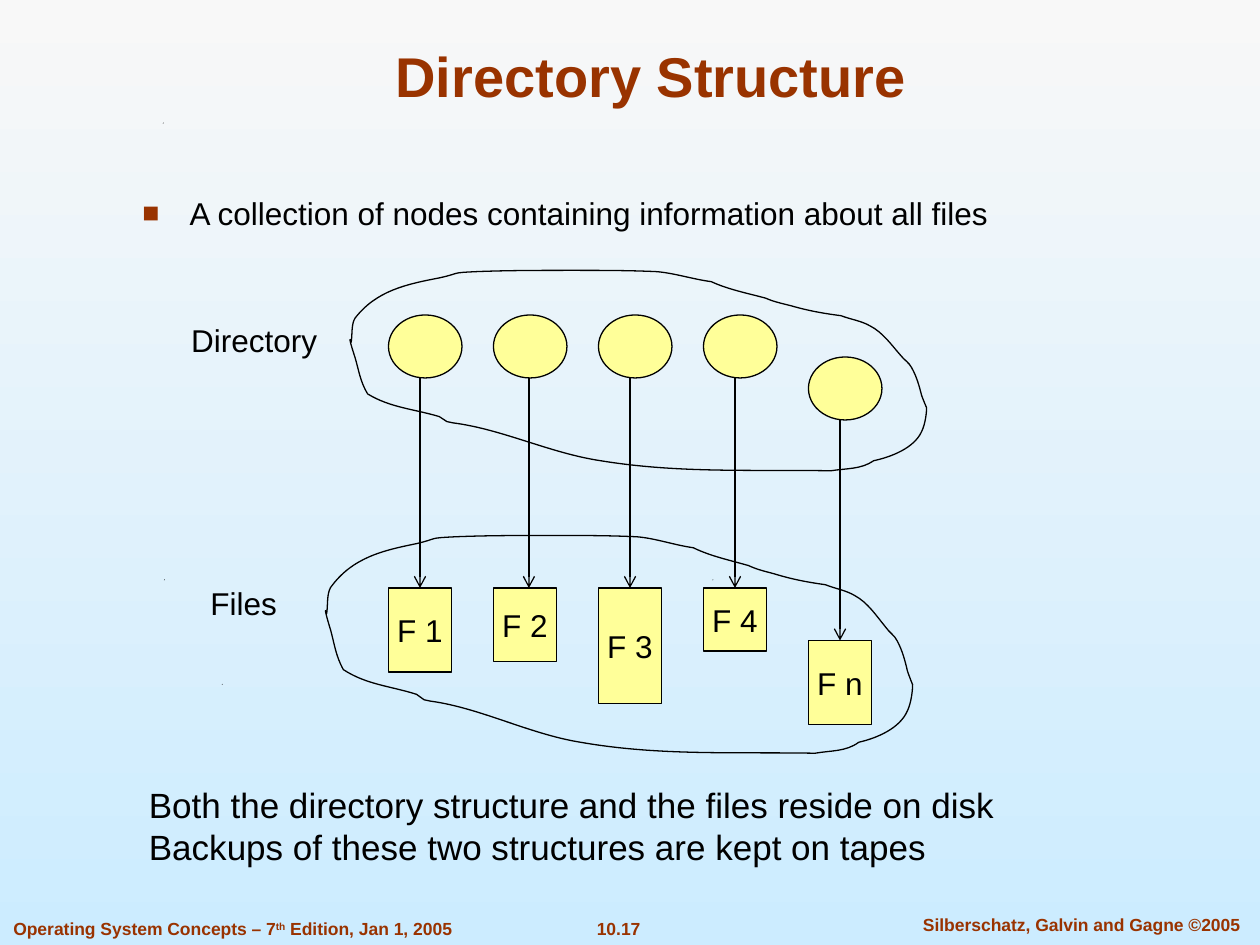
from lxml.etree import SubElement
from pptx import Presentation
from pptx.dml.color import RGBColor
from pptx.enum.shapes import MSO_CONNECTOR, MSO_SHAPE
from pptx.enum.text import MSO_ANCHOR, PP_ALIGN
from pptx.oxml.ns import qn
from pptx.util import Pt

COLORS = {
    "sky_top": "F8F8F8",
    "sky_bottom": "CCECFF",
    "accent": "993300",
    "node": "FFFF99",
    "ink": "000000",
}
FONT = "Arial"
LINE_WIDTH = 0.75

# Node columns
COLUMN_LEFT, COLUMN_STEP = 222, 60
NODE_WIDTH, NODE_HEIGHT, FILE_WIDTH = 42, 36, 36
# Label, top of directory node, top of file, height of file, arrow offset
COLUMNS = [
    ("F 1", 180, 336, 48, 18),
    ("F 2", 180, 336, 42, 20.25),
    ("F 3", 180, 336, 66, 18),
    ("F 4", 180, 336, 36, 18),
    ("F n", 204, 366, 48, 18),
]

# Tiny background specks
SPECK_SIZE = 0.5
SPECKS = [(126.75, 390.75), (93.75, 331), (407, 331), (93, 70)]

# Hand-drawn outline: a start point, then cubic curves (two controls, one end)
OUTLINE_WIDTH, OUTLINE_HEIGHT = 458, 161
OUTLINE_START = (1, 57)
OUTLINE_CURVES = [
    (2, 50, 1, 43, 4, 38), (21, 16, 45, 11, 71, 6), (89, 2, 79, 2, 101, 1),
    (126, 0, 151, 0, 177, 0), (199, 0, 221, 0, 243, 1), (257, 2, 272, 7, 287, 9),
    (300, 15, 315, 18, 330, 22), (337, 25, 342, 26, 350, 28), (364, 32, 375, 34, 390, 36),
    (398, 39, 406, 40, 413, 44), (423, 49, 430, 59, 437, 67), (440, 71, 444, 73, 446, 77),
    (450, 84, 452, 91, 454, 99), (455, 102, 458, 109, 458, 109), (458, 113, 457, 122, 454, 128),
    (448, 141, 430, 148, 416, 151), (406, 158, 394, 157, 382, 159), (318, 158, 260, 161, 199, 151),
    (159, 145, 121, 126, 82, 121), (80, 121, 79, 120, 77, 120), (75, 119, 73, 117, 71, 116),
    (51, 110, 32, 109, 14, 98), (8, 88, 7, 79, 4, 69), (4, 69, 0, 57, 0, 55),
    (0, 54, 1, 56, 1, 57),
]


def color(name):
    return RGBColor.from_string(COLORS[name])


def paint_background(slide):
    fill = slide.background.fill
    fill.gradient()
    fill.gradient_angle = 270
    for stop, name, position in zip(fill.gradient_stops, ("sky_top", "sky_bottom"), (0, 1)):
        stop.color.rgb = color(name)
        stop.position = position


def add_run(paragraph, text, size=18, ink="ink", bold=False, superscript=False):
    run = paragraph.add_run()
    run.text = text
    run.font.name = FONT
    run.font.size = Pt(size)
    run.font.bold = bold
    run.font.color.rgb = color(ink)
    if superscript:
        run.font._element.set("baseline", "30000")


def add_text(slide, text, left, top, width, height, align=PP_ALIGN.LEFT,
             anchor=MSO_ANCHOR.TOP, wrap=True, **run_format):
    """Place a text box; each line of the text becomes a paragraph."""
    box = slide.shapes.add_textbox(Pt(left), Pt(top), Pt(width), Pt(height))
    frame = box.text_frame
    frame.word_wrap = wrap
    frame.vertical_anchor = anchor
    for index, line in enumerate(text.split("\n")):
        paragraph = frame.add_paragraph() if index else frame.paragraphs[0]
        paragraph.alignment = align
        add_run(paragraph, line, **run_format)
    return frame.paragraphs[0]


def add_bullet(paragraph, character, indent):
    paragraph.line_spacing = 0.9
    properties = paragraph._p.get_or_add_pPr()
    properties.set("marL", str(Pt(indent)))
    properties.set("indent", str(-Pt(indent)))
    bullet_color = SubElement(properties, qn("a:buClr"))
    SubElement(bullet_color, qn("a:srgbClr"), val=COLORS["accent"])
    SubElement(properties, qn("a:buSzPct"), val="90000")
    SubElement(properties, qn("a:buFont"), typeface=FONT)
    SubElement(properties, qn("a:buChar"), char=character)


def outline_in_ink(shape):
    shape.shadow.inherit = False
    shape.line.color.rgb = color("ink")
    shape.line.width = Pt(LINE_WIDTH)


def add_node(slide, kind, left, top, width, height, label=None):
    shape = slide.shapes.add_shape(kind, Pt(left), Pt(top), Pt(width), Pt(height))
    shape.fill.solid()
    shape.fill.fore_color.rgb = color("node")
    outline_in_ink(shape)
    if label:
        frame = shape.text_frame
        frame.word_wrap = False
        frame.vertical_anchor = MSO_ANCHOR.MIDDLE
        frame.paragraphs[0].alignment = PP_ALIGN.CENTER
        add_run(frame.paragraphs[0], label)


def add_arrow(slide, x, top, bottom):
    arrow = slide.shapes.add_connector(MSO_CONNECTOR.STRAIGHT, Pt(x), Pt(top), Pt(x), Pt(bottom))
    arrow.line.color.rgb = color("ink")
    arrow.line.width = Pt(LINE_WIDTH)
    SubElement(arrow.line._get_or_add_ln(), qn("a:tailEnd"), type="arrow")
    SubElement(arrow._element.spPr, qn("a:effectLst"))


def add_outline(slide, points):
    start, *others = [(Pt(x), Pt(y)) for x, y in points]
    builder = slide.shapes.build_freeform(*start)
    builder.add_line_segments(others, close=True)
    shape = builder.convert_to_shape()
    shape.shadow.inherit = False
    return shape


def add_speck(slide, left, top):
    shape = add_outline(slide, [(left, top + SPECK_SIZE), (left + SPECK_SIZE, top),
                                (left + SPECK_SIZE, top + SPECK_SIZE)])
    shape.fill.solid()
    shape.fill.fore_color.rgb = color("ink")
    shape.line.fill.background()


def add_enclosure(slide, left, top, width, height):
    """Draw the outline through its end points, then bend each segment."""
    x_scale, y_scale = width / OUTLINE_WIDTH, height / OUTLINE_HEIGHT
    ends = [OUTLINE_START] + [curve[4:] for curve in OUTLINE_CURVES]
    shape = add_outline(slide, [(left + x * x_scale, top + y * y_scale) for x, y in ends])
    shape.fill.background()
    outline_in_ink(shape)
    segments = list(shape._element.iter(qn("a:lnTo")))
    for segment, curve in zip(segments, OUTLINE_CURVES):
        segment.tag = qn("a:cubicBezTo")
        segment.remove(segment[0])
        for x, y in zip(curve[::2], curve[1::2]):
            SubElement(segment, qn("a:pt"), x=str(Pt(x * x_scale)), y=str(Pt(y * y_scale)))


def main():
    presentation = Presentation()
    presentation.slide_width, presentation.slide_height = Pt(720), Pt(540)
    slide = presentation.slides.add_slide(presentation.slide_layouts[6])
    paint_background(slide)

    # Footer and specks
    footer = {"size": 10, "ink": "accent", "bold": True}
    add_text(slide, "10.17", 315.5, 521, 76, 19.5, align=PP_ALIGN.CENTER, wrap=False, **footer)
    for left, top in SPECKS:
        add_speck(slide, left, top)
    add_text(slide, "Silberschatz, Galvin and Gagne ©2005", 511, 518.5, 214, 19.5,
             align=PP_ALIGN.CENTER, **footer)
    book = add_text(slide, "Operating System Concepts – 7", 0.5, 521, 265, 19.5,
                    wrap=False, **footer)
    add_run(book, "th", superscript=True, **footer)
    add_run(book, " Edition, Jan 1, 2005", **footer)

    # Title and bullet
    add_text(slide, "Directory Structure", 54, 17.75, 636, 48, align=PP_ALIGN.CENTER,
             anchor=MSO_ANCHOR.BOTTOM, size=32, ink="accent", bold=True)
    statement = add_text(slide, "A collection of nodes containing information about all files",
                         74.25, 109.5, 518, 27)
    add_bullet(statement, "■", 27)

    # Directory nodes, each pointing to its file
    for index, (label, node_top, file_top, file_height, offset) in enumerate(COLUMNS):
        left = COLUMN_LEFT + index * COLUMN_STEP
        add_node(slide, MSO_SHAPE.OVAL, left, node_top, NODE_WIDTH, NODE_HEIGHT)
        add_node(slide, MSO_SHAPE.RECTANGLE, left, file_top, FILE_WIDTH, file_height, label)
        add_arrow(slide, left + offset, node_top + NODE_HEIGHT, file_top)

    # Enclosures and their names
    add_enclosure(slide, 200, 154.5, 329.5, 116)
    add_enclosure(slide, 186, 306, 335.5, 126)
    label_format = {"align": PP_ALIGN.CENTER, "anchor": MSO_ANCHOR.MIDDLE, "wrap": False}
    add_text(slide, "Directory", 102, 180, 86.5, 29, **label_format)
    add_text(slide, "Files", 113, 330, 52.5, 29, **label_format)

    # Closing remarks
    add_text(slide, "Both the directory structure and the files reside on disk\n"
             "Backups of these two structures are kept on tapes", 78, 444, 554, 30, size=20)

    presentation.save("out.pptx")


if __name__ == "__main__":
    main()
